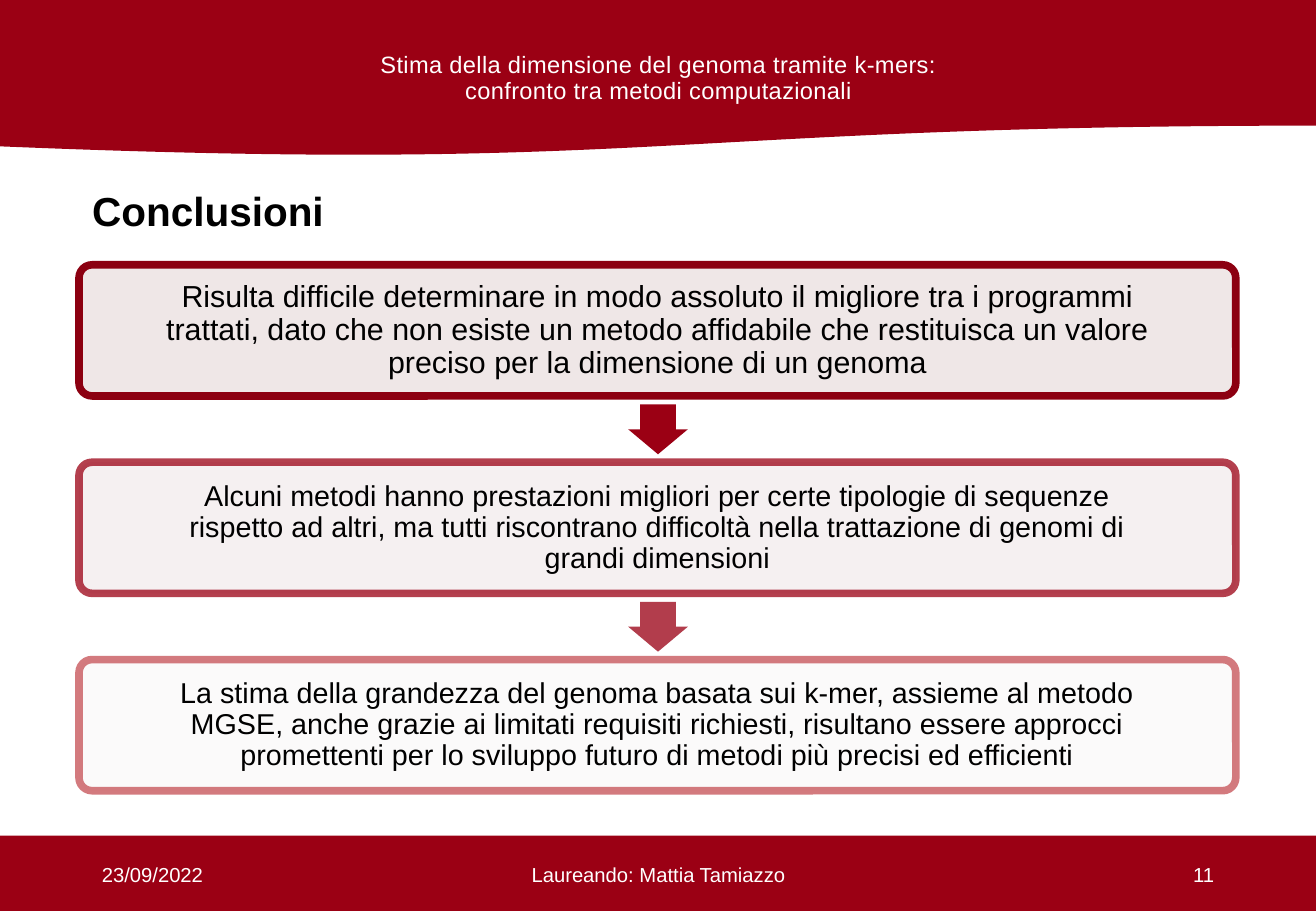
from lxml.etree import SubElement
from pptx import Presentation
from pptx.dml.color import RGBColor
from pptx.enum.shapes import MSO_SHAPE as SHAPE
from pptx.enum.text import MSO_ANCHOR as ANCHOR, PP_ALIGN as ALIGN
from pptx.oxml.ns import qn
from pptx.util import Inches, Pt

COLORS = {
    "red": "9B0014",
    "dark_red": "8C0011",
    "mid_red": "B23D4C",
    "light_red": "C54E54",
    "pink": "E1D0D1",
    "white": "FFFFFF",
    "black": "000000",
}
CONCLUSIONS = [
    ("Risulta difficile determinare in modo assoluto il migliore tra i programmi trattati, "
     "dato che non esiste un metodo affidabile che restituisca un valore preciso per la "
     "dimensione di un genoma", 18, 0.56, 50, "dark_red", 100),
    ("Alcuni metodi hanno prestazioni migliori per certe tipologie di sequenze rispetto ad "
     "altri, ma tutti riscontrano difficoltà nella trattazione di genomi di grandi dimensioni",
     17, 0.6, 30, "red", 75),
    ("La stima della grandezza del genoma basata sui k-mer, assieme al metodo MGSE, anche "
     "grazie ai limitati requisiti richiesti, risultano essere approcci promettenti per lo "
     "sviluppo futuro di metodi più precisi ed efficienti", 17, 0.56, 10, "light_red", 75),
]
ARROW_COLORS = ["red", "mid_red"]
BOX_TOP, BOX_HEIGHT, BOX_STEP = 2.18, 1.08, 1.625


def paint(fill, color, opacity=100):
    fill.solid()
    fill.fore_color.rgb = RGBColor.from_string(COLORS[color])
    if opacity < 100:
        clr = fill._xPr.find(qn("a:solidFill"))[0]
        SubElement(clr, qn("a:alpha")).set("val", str(opacity * 1000))


def add_block(s, kind, x, y, w, h, color, opacity=100):
    sp = s.shapes.add_shape(kind, Inches(x), Inches(y), Inches(w), Inches(h))
    sp.shadow.inherit = False
    paint(sp.fill, color, opacity)
    sp.line.fill.background()
    return sp


def write(tf, text, size, color, align=ALIGN.LEFT, bold=False, spacing=1.0):
    tf.word_wrap = True
    p = tf.paragraphs[0]
    p.alignment = align
    p.line_spacing = spacing
    p.font.name = "Arial"
    p.font.size = Pt(size)
    p.font.bold = bold
    p.font.color.rgb = RGBColor.from_string(COLORS[color])
    r = p.add_run()
    r.text = text
    return r


def add_text(s, x, y, w, h, text, size, color, anchor=ANCHOR.MIDDLE, **style):
    tf = s.shapes.add_textbox(Inches(x), Inches(y), Inches(w), Inches(h)).text_frame
    tf.vertical_anchor = anchor
    return write(tf, text, size, color, **style)


def add_conclusion(s, y, text, size, inset, opacity, border, border_opacity):
    sp = add_block(s, SHAPE.ROUNDED_RECTANGLE, 0.65, y, 9.52, BOX_HEIGHT, "pink", opacity)
    sp.adjustments[0] = 0.1
    sp.line.width = Pt(4.5)
    paint(sp.line.fill, border, border_opacity)
    tf = sp.text_frame
    tf.vertical_anchor = ANCHOR.MIDDLE
    tf.margin_left = tf.margin_right = Inches(inset)
    tf.margin_top = tf.margin_bottom = Inches(0.07)
    write(tf, text, size, "black", align=ALIGN.CENTER, spacing=0.9)


def add_arrow(s, y, color):
    sp = add_block(s, SHAPE.DOWN_ARROW, 5.17, y, 0.49, 0.41, color)
    sp.adjustments[0] = 0.6
    sp.adjustments[1] = 0.5


def main():
    prs = Presentation()
    prs.slide_width, prs.slide_height = Inches(10.83), Inches(7.5)
    s = prs.slides.add_slide(prs.slide_layouts[6])

    add_block(s, SHAPE.RECTANGLE, 0, 6.88, 10.83, 0.62, "red")
    add_block(s, SHAPE.FLOWCHART_DOCUMENT, 0, 0, 10.83, 1.29, "red")
    header = add_text(s, 2.88, 0.39, 5.08, 0.53,
                      "Stima della dimensione del genoma tramite k-mers: "
                      "confronto tra metodi computazionali",
                      14, "white", anchor=ANCHOR.TOP, align=ALIGN.CENTER, spacing=0.9)
    header._r.get_or_add_rPr().set("spc", "20")
    add_text(s, 0.66, 1.42, 5.97, 0.68, "Conclusioni", 24, "black", bold=True, spacing=0.9)

    for i, conclusion in enumerate(CONCLUSIONS):
        add_conclusion(s, BOX_TOP + i * BOX_STEP, *conclusion)
    for i, color in enumerate(ARROW_COLORS):
        add_arrow(s, BOX_TOP + i * BOX_STEP + BOX_HEIGHT + 0.07, color)

    for x, w, text, align in [
        (0.74, 2.44, "23/09/2022", ALIGN.LEFT),
        (3.59, 3.66, "Laureando: Mattia Tamiazzo", ALIGN.CENTER),
        (7.65, 2.44, "11", ALIGN.RIGHT),
    ]:
        add_text(s, x, 7, w, 0.4, text, 12, "white", align=align)

    prs.save("out.pptx")


if __name__ == "__main__":
    main()
